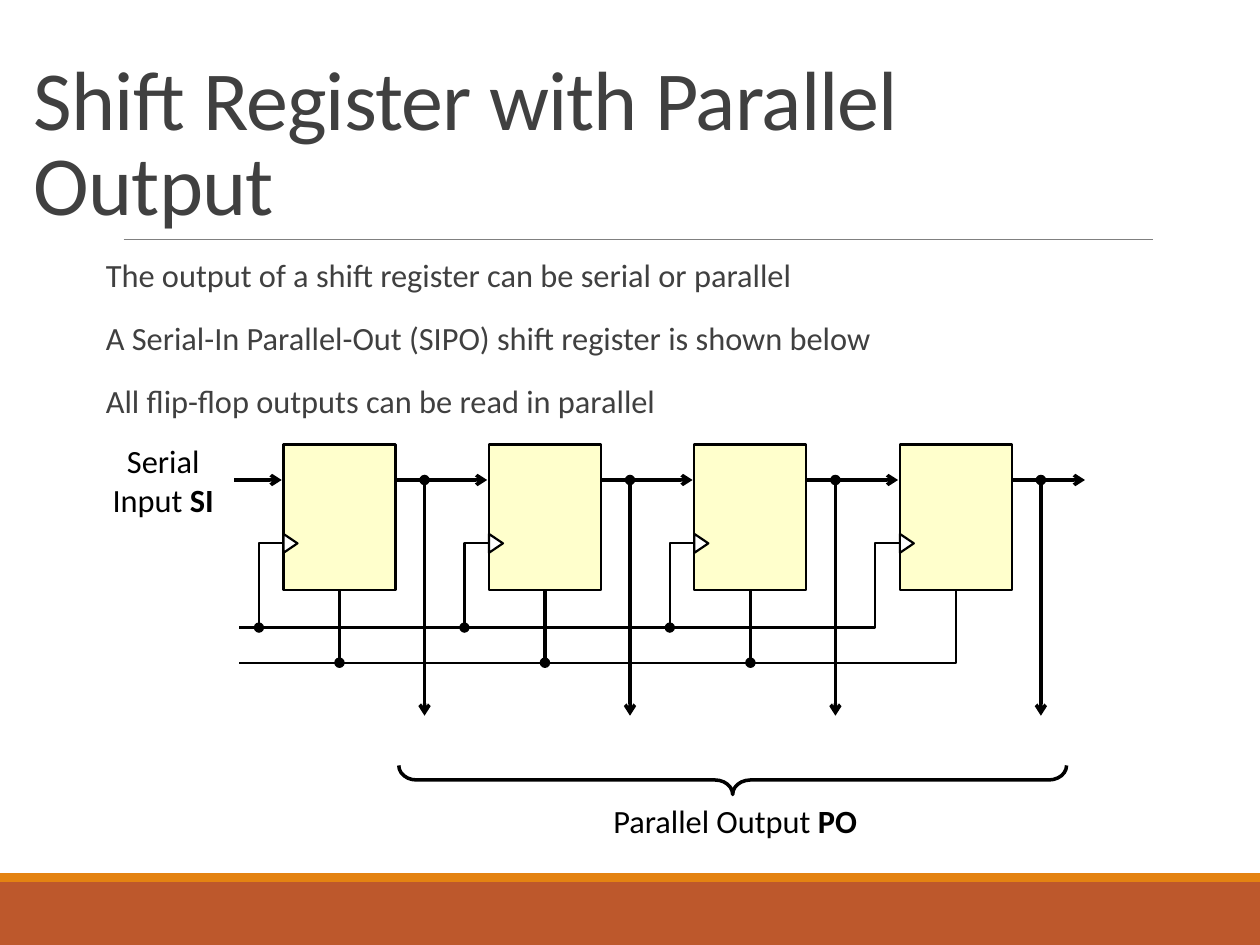
"""Build a slide on a shift register with parallel output."""
from lxml import etree
from pptx import Presentation
from pptx import util as u
from pptx.dml.color import RGBColor
from pptx.enum import shapes, text
from pptx.oxml import ns

Pt = u.Pt
KIND = shapes.MSO_SHAPE
BLACK = RGBColor(0, 0, 0)
WHITE = RGBColor(0xFF, 0xFF, 0xFF)
CREAM = RGBColor(0xFF, 0xFF, 0xCC)
DARK = RGBColor(0x40, 0x40, 0x40)
GREY = RGBColor(0x80, 0x80, 0x80)
RUST = RGBColor(0xBD, 0x58, 0x2C)
AMBER = RGBColor(0xE4, 0x83, 0x12)
FONT = "Calibri"

TITLE = "Shift Register with Parallel Output"
POINTS = [
    "The output of a shift register can be serial or parallel",
    "A Serial-In Parallel-Out (SIPO) shift register is shown below",
    "All flip-flop outputs can be read in parallel",
]
LABELS = [
    (("Serial Input ", "SI"), (56.9, 253.4, 72.7, 41.8)),
    (("Parallel Output ", "PO"), (349.9, 454.3, 140.4, 29.5)),
]
BANDS = [((0, 504, 720, 36), RUST), ((0, 499, 720, 5), AMBER)]

COUNT, LEFT, PITCH = 4, 162, 117.4
TOP, WIDE, HIGH = 254, 64, 83
DATA, CLOCK = 274.3, 310.5
BUS, RESET, START = 358.6, 378.7, 136.8
STUB, TAP, DROP = 14, 80.6, 409
LEFTS = [LEFT + i * PITCH for i in range(COUNT)]


def add(parent, tag, **attrs):
    return etree.SubElement(parent, ns.qn(tag), attrs)


def trim(shape, width, color=BLACK, head=None, tail=None):
    shape.line.color.rgb = color
    shape.line.width = Pt(width)
    edge = shape.line._get_or_add_ln()
    for tag, kind in (("a:headEnd", head), ("a:tailEnd", tail)):
        if kind:
            add(edge, tag, type=kind)


def wire(start, end, width=2, **look):
    line = slide.shapes.add_connector(
        shapes.MSO_CONNECTOR.STRAIGHT, *map(Pt, start + end))
    trim(line, width, **look)
    add(line._element.spPr, "a:effectLst")
    return line


def path(dots, **look):
    spots = [(Pt(x), Pt(y)) for x, y in dots]
    build = slide.shapes.build_freeform(*spots[0])
    build.add_line_segments(spots[1:], close=False)
    shape = build.convert_to_shape()
    shape.shadow.inherit = False
    shape.fill.background()
    trim(shape, 1.25, **look)


def block(kind, area, fill=None, width=None):
    shape = slide.shapes.add_shape(kind, *map(Pt, area))
    shape.shadow.inherit = False
    if fill is None:
        shape.fill.background()
    else:
        shape.fill.solid()
        shape.fill.fore_color.rgb = fill
    if width:
        trim(shape, width)
    else:
        shape.line.fill.background()
    return shape


def place(shape, area):
    shape.left, shape.top, shape.width, shape.height = map(Pt, area)


def setup(frame, anchor, pads):
    frame.word_wrap = True
    frame.auto_size = text.MSO_AUTO_SIZE.NONE
    frame.vertical_anchor = anchor
    (frame.margin_left, frame.margin_top,
     frame.margin_right, frame.margin_bottom) = map(Pt, pads)


def write(para, words, size, color, bold=False):
    run = para.add_run()
    run.text = words
    run.font.name, run.font.size = FONT, Pt(size)
    run.font.color.rgb, run.font.bold = color, bold
    return run


def add_title():
    shape = slide.shapes.title
    place(shape, (12.2, 22.3, 646.6, 114.5))
    setup(shape.text_frame, text.MSO_ANCHOR.BOTTOM, (7.2, 3.6, 7.2, 3.6))
    para = shape.text_frame.paragraphs[0]
    para.alignment = text.PP_ALIGN.LEFT
    para.line_spacing = 0.85
    run = write(para, TITLE, 48, DARK)
    run.font._element.set("spc", "-50")


def add_body():
    shape = slide.placeholders[1]
    place(shape, (53.3, 148.3, 594, 101.5))
    frame = shape.text_frame
    setup(frame, text.MSO_ANCHOR.TOP, (0, 3.6, 0, 3.6))
    for i, words in enumerate(POINTS):
        para = frame.add_paragraph() if i else frame.paragraphs[0]
        props = para._p.get_or_add_pPr()
        props.set("marL", str(Pt(7.2)))
        props.set("indent", str(-Pt(7.2)))
        add(add(props, "a:buClr"), "a:srgbClr", val=str(AMBER))
        add(props, "a:buChar", char=" ")
        para.line_spacing = 0.7
        para.space_before = Pt(18.5 if i else 0)
        para.space_after = Pt(2)
        write(para, words, 18.5, DARK)


def add_stages():
    last = LEFTS[-1]
    path([(last, CLOCK), (last - STUB, CLOCK), (last - STUB, BUS),
          (START, BUS)])
    path([(last + WIDE / 2, TOP + HIGH), (last + WIDE / 2, RESET),
          (START, RESET)])
    for x in LEFTS:
        box = block(KIND.RECTANGLE, (x, TOP, WIDE, HIGH), CREAM, 1.25)
        notch = block(KIND.ISOSCELES_TRIANGLE,
                      (x - 1.4, CLOCK - 4, 10.8, 8), WHITE, 1.25)
        notch.rotation = 90
        if x != last:
            mid = x + WIDE / 2
            rise = wire((mid, RESET), (mid, TOP + HIGH), head="oval")
            rise.end_connect(box, 2)
            path([(x - STUB, BUS), (x - STUB, CLOCK), (x, CLOCK)],
                 head="oval")


def add_data():
    starts = [134] + [x + WIDE for x in LEFTS]
    ends = [x - 1 for x in LEFTS] + [620]
    for x, end in zip(starts, ends):
        wire((x, DATA), (end, DATA), tail="arrow")
    for x in LEFTS:
        wire((x + TAP, DATA), (x + TAP, DROP), head="oval", tail="arrow")


def add_labels():
    for (plain, strong), area in LABELS:
        frame = slide.shapes.add_textbox(*map(Pt, area)).text_frame
        setup(frame, text.MSO_ANCHOR.MIDDLE, (0, 0, 0, 0))
        para = frame.paragraphs[0]
        para.alignment = text.PP_ALIGN.CENTER
        write(para, plain, 18.5, BLACK)
        write(para, strong, 18.5, BLACK, True)
    brace = block(KIND.LEFT_BRACE, (410.4, 254.9, 16.6, 381.6), width=2)
    brace.rotation = 270
    brace.adjustments[0] = 0.61


deck = Presentation()
deck.slide_width, deck.slide_height = Pt(720), Pt(540)
slide = deck.slides.add_slide(deck.slide_layouts[1])
for area, color in BANDS:
    block(KIND.RECTANGLE, area, color)
wire((70.6, 136.8), (658.8, 136.8), 0.5, color=GREY)
add_title()
add_body()
add_stages()
add_data()
add_labels()
deck.save("out.pptx")
